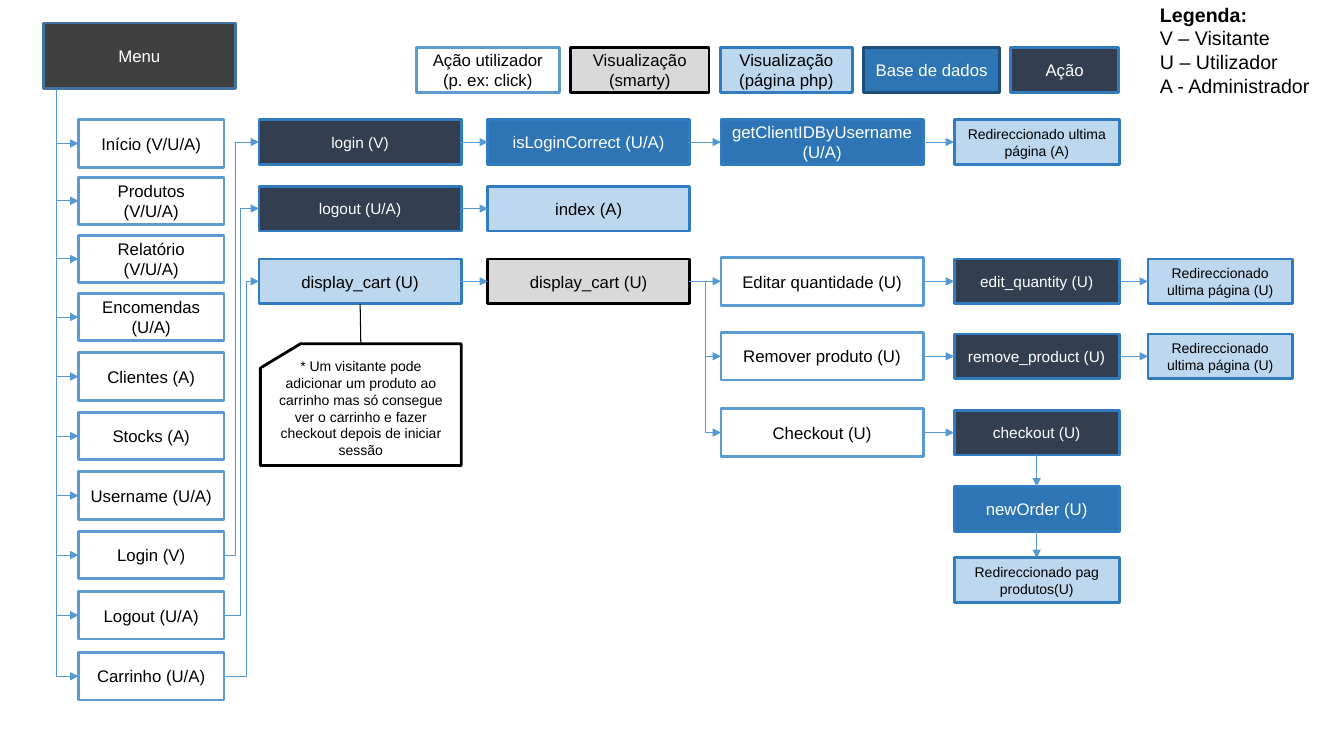
from collections import namedtuple
from itertools import accumulate

from lxml.etree import SubElement
from pptx import Presentation
from pptx.dml.color import RGBColor
from pptx.enum.shapes import MSO_CONNECTOR, MSO_SHAPE
from pptx.enum.text import MSO_ANCHOR, PP_ALIGN
from pptx.oxml.ns import qn
from pptx.util import Pt

WHITE = RGBColor(0xFF, 0xFF, 0xFF)
BLACK = RGBColor(0, 0, 0)
CHARCOAL = RGBColor(0x40, 0x40, 0x40)
STEEL = RGBColor(0x43, 0x73, 0x9E)
SKY = RGBColor(0x5B, 0x9B, 0xD5)
ARROW = RGBColor(0x56, 0x98, 0xD3)
PALE = RGBColor(0xBD, 0xD7, 0xEE)
BLUE = RGBColor(0x31, 0x7C, 0xC1)
DEEP = RGBColor(0x2E, 0x75, 0xB6)
NAVY = RGBColor(0x1F, 0x4E, 0x79)
SLATE = RGBColor(0x33, 0x3F, 0x50)
GREY = RGBColor(0xD9, 0xD9, 0xD9)

Style = namedtuple("Style", "fill line text size")
MENU = Style(CHARCOAL, STEEL, WHITE, 12)
USER = Style(WHITE, SKY, BLACK, 12)
SMARTY = Style(GREY, BLACK, BLACK, 12)
PAGE = Style(PALE, BLUE, BLACK, 12)
REDIRECT = PAGE._replace(size=10)
DATABASE = Style(DEEP, BLUE, WHITE, 12)
ACTION = Style(SLATE, BLUE, WHITE, 11)
NOTE = Style(WHITE, BLACK, BLACK, 10)

TOP, LEFT, BOTTOM, RIGHT = range(4)


def add_box(s, text, style, left, top, width, height, shape=MSO_SHAPE.RECTANGLE):
    """Add a filled box with centred text."""
    sp = s.shapes.add_shape(shape, Pt(left), Pt(top), Pt(width), Pt(height))
    sp.shadow.inherit = False
    sp.fill.solid()
    sp.fill.fore_color.rgb = style.fill
    sp.line.color.rgb = style.line
    sp.line.width = Pt(2)
    tf = sp.text_frame
    tf.word_wrap = True
    tf.vertical_anchor = MSO_ANCHOR.MIDDLE
    p = tf.paragraphs[0]
    p.text = text
    p.alignment = PP_ALIGN.CENTER
    p.font.name = "Arial"
    p.font.size = Pt(style.size)
    p.font.color.rgb = style.text
    return sp


def add_line(s, kind, x1, y1, x2, y2, color=ARROW, arrow=True):
    """Add a thin connector, by default with an arrowhead at its end."""
    cxn = s.shapes.add_connector(kind, Pt(x1), Pt(y1), Pt(x2), Pt(y2))
    cxn.line.color.rgb = color
    cxn.line.width = Pt(0.75)
    spPr = cxn._element.spPr
    if arrow:
        SubElement(spPr.find(qn("a:ln")), qn("a:tailEnd"), type="triangle")
    SubElement(spPr, qn("a:effectLst"))
    return cxn


def join(s, start, end, start_side=RIGHT, end_side=LEFT):
    """Join two boxes with a straight arrow."""
    cxn = add_line(s, MSO_CONNECTOR.STRAIGHT, 0, 0, 0, 0)
    cxn.begin_connect(start, start_side)
    cxn.end_connect(end, end_side)


def add_branch(s, x1, y1, x2, y2):
    """Add an arrow that runs down and then right."""
    cx, cy, dx, dy = (x1 + x2) / 2, (y1 + y2) / 2, x2 - x1, y2 - y1
    cxn = add_line(s, MSO_CONNECTOR.ELBOW,
                   cx - dy / 2, cy - dx / 2, cx + dy / 2, cy + dx / 2)
    spPr = cxn._element.spPr
    spPr.find(qn("a:prstGeom")).set("prst", "bentConnector2")
    xfrm = spPr.find(qn("a:xfrm"))
    xfrm.set("rot", "16200000")
    xfrm.set("flipH", "1")


def add_elbow(s, start, end, bend_x):
    """Add an arrow between box sides that turns at bend_x."""
    x1, x2 = (start.left + start.width) / Pt(1), end.left / Pt(1)
    y1, y2 = ((b.top + b.height / 2) / Pt(1) for b in (start, end))
    cxn = add_line(s, MSO_CONNECTOR.ELBOW, x1, y1, x2, y2)
    geom = cxn._element.spPr.find(qn("a:prstGeom"))
    avLst = geom.find(qn("a:avLst"))
    if avLst is None:
        avLst = SubElement(geom, qn("a:avLst"))
    ratio = round((bend_x - x1) / (x2 - x1) * 100000)
    SubElement(avLst, qn("a:gd"), name="adj1", fmla=f"val {ratio}")


def add_menu(s, left, top, width, height):
    """Draw the menu and its items, and return the item boxes by name."""
    add_box(s, "Menu", MENU, left, top, width, height)
    items = [
        ("Início (V/U/A)", 102.5), ("Produtos (V/U/A)", 143.5),
        ("Relatório (V/U/A)", 185), ("Encomendas (U/A)", 226.5),
        ("Clientes (A)", 269), ("Stocks (A)", 311.5), ("Username (U/A)", 354),
        ("Login (V)", 396.5), ("Logout (U/A)", 439.5), ("Carrinho (U/A)", 483),
    ]
    boxes = {}
    trunk_y = top + height
    for text, y in items:
        boxes[text.split()[0]] = add_box(s, text, USER, left + 25, y - 17, 104, 34)
        add_branch(s, left + 9.5, trunk_y, left + 25, y)
        trunk_y = y
    return boxes


def add_colour_key(s, left, top, height, gap=8):
    """Draw the row of boxes that explains the colours."""
    keys = [
        ("Ação utilizador (p. ex: click)", USER, 102),
        ("Visualização (smarty)", SMARTY, 99),
        ("Visualização (página php)", PAGE, 94.5),
        ("Base de dados", DATABASE._replace(line=NAVY), 97),
        ("Ação", ACTION._replace(size=12), 77),
    ]
    lefts = accumulate((w + gap for _, _, w in keys), initial=left)
    for (text, style, width), x in zip(keys, lefts):
        add_box(s, text, style, x, top, width, height)


def add_role_key(s, left, top, width, height):
    """Write the legend of user roles."""
    tf = s.shapes.add_textbox(Pt(left), Pt(top), Pt(width), Pt(height)).text_frame
    tf.word_wrap = True
    tf.text = "Legenda:\nV – Visitante\nU – Utilizador\nA - Administrador"
    for i, p in enumerate(tf.paragraphs):
        p.font.name = "Arial"
        p.font.size = Pt(14)
        p.font.bold = i == 0
        p.font.color.rgb = BLACK


def add_flows(s, left, top, menu):
    """Draw the page flows, arranged in rows and columns, and link the menu."""
    columns = [(0, 144.5), (163.5, 144), (330, 144.5), (496.5, 118), (635, 103)]
    row_y = [0, 47.5, 99.5, 153, 207.5, 262, 313]
    again = "Redireccionado ultima página (U)"
    rows = [
        (0, [("login (V)", ACTION), ("isLoginCorrect (U/A)", DATABASE),
             ("getClientIDByUsername (U/A)", DATABASE),
             ("Redireccionado ultima página (A)", REDIRECT)]),
        (0, [("logout (U/A)", ACTION), ("index (A)", PAGE)]),
        (0, [("display_cart (U)", PAGE), ("display_cart (U)", SMARTY),
             ("Editar quantidade (U)", USER), ("edit_quantity (U)", ACTION),
             (again, REDIRECT)]),
        (2, [("Remover produto (U)", USER), ("remove_product (U)", ACTION),
             (again, REDIRECT)]),
        (2, [("Checkout (U)", USER), ("checkout (U)", ACTION)]),
        (3, [("newOrder (U)", DATABASE)]),
        (3, [("Redireccionado pag produtos(U)", REDIRECT)]),
    ]
    grid = {}
    for r, (first, cells) in enumerate(rows):
        for c, (text, style) in enumerate(cells, first):
            x, width = columns[c]
            height = 34 if style is USER else 32
            grid[r, c] = add_box(s, text, style, left + x,
                                 top + row_y[r] - height / 2, width, height)
            if c > first:
                join(s, grid[r, c - 1], grid[r, c])
    for r in (4, 5):
        join(s, grid[r, 3], grid[r + 1, 3], BOTTOM, TOP)
    for r in (3, 4):
        add_elbow(s, grid[2, 1], grid[r, 2], left + 319)
    for r, (name, bend) in enumerate([("Login", 17), ("Logout", 13), ("Carrinho", 9)]):
        add_elbow(s, menu[name], grid[r, 0], left - bend)
    add_note(s, left + 1, top + 144, 143.5, 87, grid[2, 0])


def add_note(s, left, top, width, height, owner):
    """Draw the note about visitors and tie it to its box."""
    sp = add_box(s, "* Um visitante pode adicionar um produto ao carrinho mas só "
                 "consegue ver o carrinho e fazer checkout depois de iniciar sessão",
                 NOTE, left, top, width, height, MSO_SHAPE.FLOWCHART_CARD)
    sp.text_frame.margin_bottom = Pt(16)
    cxn = add_line(s, MSO_CONNECTOR.STRAIGHT, 0, 0, left + width / 2, top, BLACK, False)
    cxn.begin_connect(owner, BOTTOM)


def main():
    """Build the slide and save it."""
    prs = Presentation()
    prs.slide_width, prs.slide_height = Pt(960), Pt(540)
    s = prs.slides.add_slide(prs.slide_layouts[6])
    menu = add_menu(s, 31, 16.5, 137, 47)
    add_colour_key(s, 297.5, 34, 32)
    add_role_key(s, 821.5, -1.5, 132.5, 75)
    add_flows(s, 185, 101.5, menu)
    prs.save("out.pptx")


if __name__ == "__main__":
    main()
